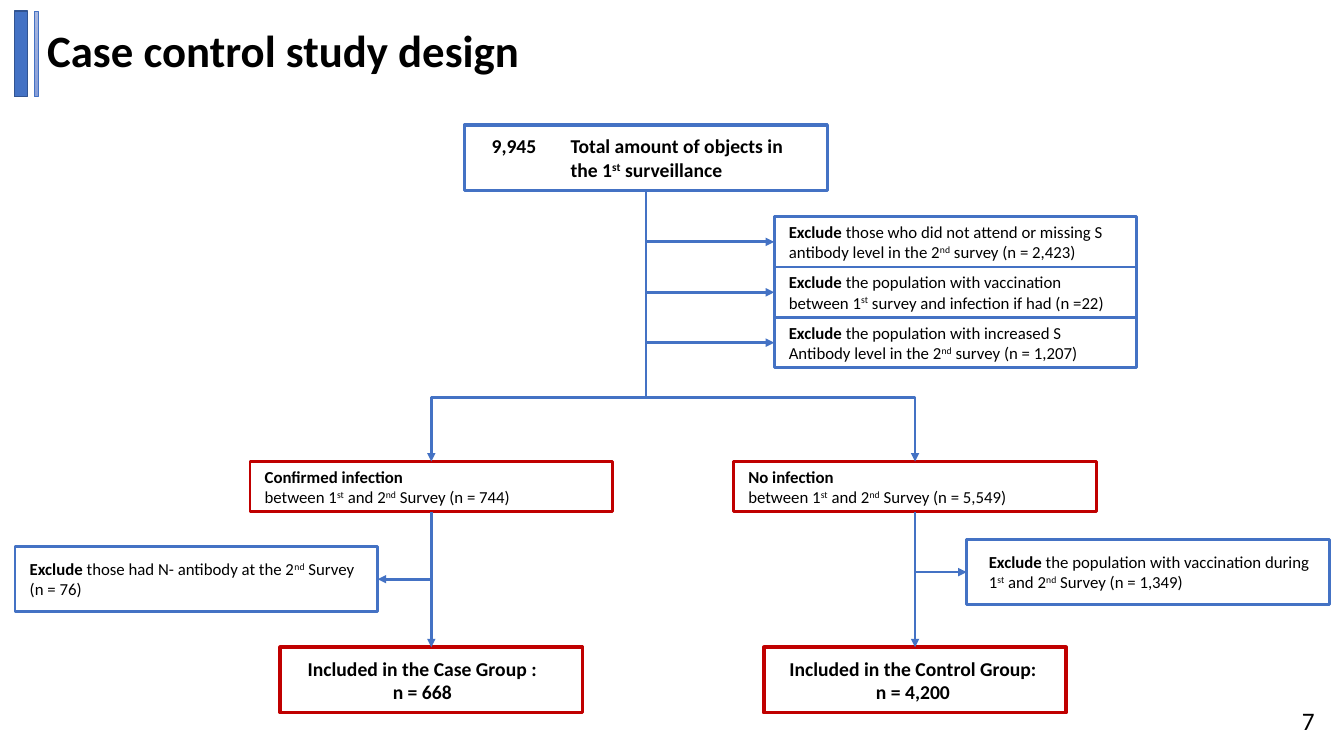
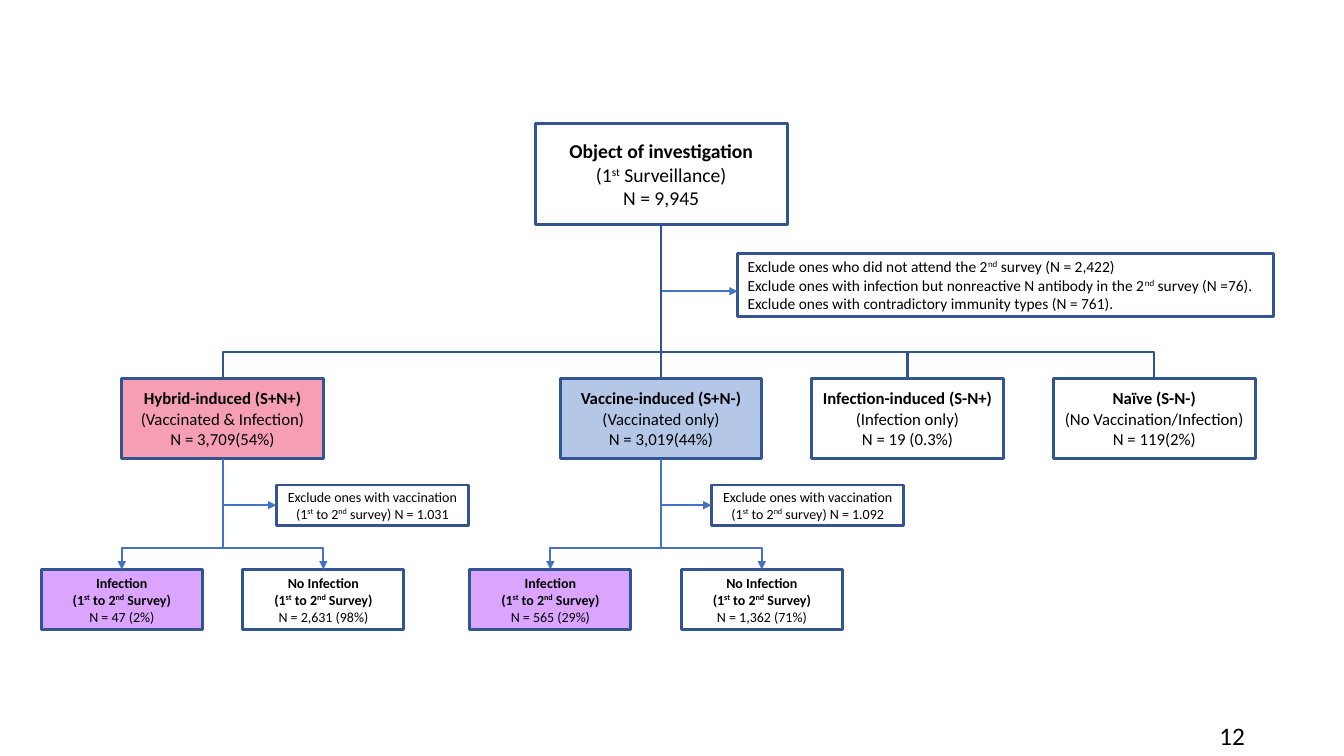
"""Build two flowchart slides on a case control study of infection after vaccination."""

import lxml.etree
import pptx
import pptx.dml.color
import pptx.enum.dml
import pptx.enum.shapes
import pptx.enum.text
import pptx.oxml.ns
import pptx.util

Cm = pptx.util.Cm
Pt = pptx.util.Pt
qn = pptx.oxml.ns.qn
RGB = pptx.dml.color.RGBColor.from_string
ALIGN = pptx.enum.text.PP_ALIGN
ANCHOR = pptx.enum.text.MSO_ANCHOR

FONT = "Calibri"
COLORS = {
    "text": "000000",
    "blue": "4472C4",
    "navy": "325491",
    "red": "C00000",
    "pink": "F69EB4",
    "pale blue": "B4C7E7",
    "purple": "B94DFF",
    "bar top": "A8B7DF",
    "bar bottom": "889ED7",
}


def add_box(slide, text, left, top, width, height, *, size=12, align=ALIGN.CENTER,
            anchor=ANCHOR.MIDDLE, line=None, weight=2, fill=None, opacity=100,
            margins=(0.25, 0.25), wrap=True, spacing=None):
    """Add a box; in its text, * switches bold and ^ switches superscript."""
    frame = Cm(left), Cm(top), Cm(width), Cm(height)
    if line:
        shape = slide.shapes.add_shape(pptx.enum.shapes.MSO_SHAPE.RECTANGLE, *frame)
        shape.shadow.inherit = False
        shape.line.color.rgb = RGB(COLORS[line])
        shape.line.width = Pt(weight)
    else:
        shape = slide.shapes.add_textbox(*frame)
    if fill:
        shape.fill.solid()
        shape.fill.fore_color.rgb = RGB(COLORS[fill])
        if opacity < 100:
            color = shape._element.spPr.find(qn("a:solidFill")).find(qn("a:srgbClr"))
            lxml.etree.SubElement(color, qn("a:alpha")).set("val", str(opacity * 1000))
    else:
        shape.fill.background()
    text_frame = shape.text_frame
    text_frame.word_wrap = wrap
    text_frame.vertical_anchor = anchor
    text_frame.margin_left, text_frame.margin_right = map(Cm, margins)
    bold = False
    for index, content in enumerate(text.split("\n") if text else []):
        paragraph = text_frame.paragraphs[0] if index == 0 else text_frame.add_paragraph()
        paragraph.alignment = align
        if spacing:
            paragraph.line_spacing = spacing
        for bold_index, part in enumerate(content.split("*")):
            bold = bold_index % 2 == 1
            for raised, piece in enumerate(part.split("^")):
                if not piece:
                    continue
                run = paragraph.add_run()
                run.text = piece
                run.font.name = FONT
                run.font.size = Pt(size)
                run.font.bold = bold
                run.font.color.rgb = RGB(COLORS["text"])
                if raised % 2:
                    run.font._element.set("baseline", "30000")
    return shape


def add_line(slide, start, end, *, bend=None, color="blue", weight=2, arrow=True):
    """Add a straight line, or a down-across-down elbow that turns at height bend."""
    kinds = pptx.enum.shapes.MSO_CONNECTOR
    (x1, y1), (x2, y2) = start, end
    elbow = bend is not None and x1 != x2
    if elbow:
        side = 1 if x2 > x1 else -1
        middle_x, middle_y = (x1 + x2) / 2, (y1 + y2) / 2
        run, drop = abs(x2 - x1) / 2, side * (y2 - y1) / 2
        ends = middle_x + drop, middle_y - run, middle_x - drop, middle_y + run
    else:
        ends = x1, y1, x2, y2
    connector = slide.shapes.add_connector(kinds.ELBOW if elbow else kinds.STRAIGHT,
                                           *map(Cm, ends))
    connector.line.color.rgb = RGB(COLORS[color])
    connector.line.width = Pt(weight)
    properties = connector._element.spPr
    if elbow:
        properties.find(qn("a:xfrm")).set("rot", "16200000" if side > 0 else "5400000")
        adjustments = properties.find(qn("a:prstGeom")).find(qn("a:avLst"))
        guide = lxml.etree.SubElement(adjustments, qn("a:gd"))
        guide.set("name", "adj1")
        guide.set("fmla", f"val {round((bend - y1) / (y2 - y1) * 100000)}")
    if arrow:
        outline = properties.find(qn("a:ln"))
        lxml.etree.SubElement(outline, qn("a:tailEnd")).set("type", "triangle")
    lxml.etree.SubElement(properties, qn("a:effectLst"))


presentation = pptx.Presentation()
presentation.slide_width = Cm(33.87)
presentation.slide_height = Cm(19.05)
blank = presentation.slide_layouts[6]
design_slide = presentation.slides.add_slide(blank)
groups_slide = presentation.slides.add_slide(blank)

for slide, number, left, top in ((design_slide, "7", 32.56, 17.65),
                                 (groups_slide, "12", 30.48, 18.03)):
    add_box(slide, number, left, top, 0.48 + 0.35 * len(number), 1.02, size=18,
            align=ALIGN.LEFT, anchor=ANCHOR.TOP, wrap=False)

slide = design_slide
add_box(slide, "*Case control study design*", 0.94, 0.33, 19.48, 2.03, size=32,
        align=ALIGN.LEFT, spacing=0.9)
add_box(slide, "", 0.36, 0.28, 0.33, 2.16, line="navy", weight=1, fill="blue")
thin_bar = add_box(slide, "", 0.86, 0.28, 0.1, 2.16, line="blue", weight=0.5)
thin_bar.fill.gradient()
thin_bar.fill.gradient_angle = 270
for stop, name in zip(thin_bar.fill.gradient_stops, ("bar top", "bar bottom")):
    stop.color.rgb = RGB(COLORS[name])

box_width, large_height, small_height = 9.14, 1.65, 1.27
trunk_x, trunk_top, split_y = 16.28, 4.8, 10.02
add_box(slide, "*Total amount of objects in*\n*the 1^st^ surveillance*",
        trunk_x - box_width / 2, trunk_top - large_height, box_width, large_height,
        size=14, align=ALIGN.LEFT, line="blue", weight=2.5, margins=(2.67, 0.25))
add_box(slide, "*9,945*", 12.07, 3.24, 1.7, 0.86, size=14, align=ALIGN.RIGHT,
        anchor=ANCHOR.TOP)

exclusions = (
    "*Exclude* those who did not attend or missing S antibody level in the 2^nd^ survey (n = 2,423)",
    "*Exclude* the population with vaccination between 1^st^ survey and infection if had (n =22)",
    "*Exclude* the population with increased S Antibody level in the 2^nd^ survey (n = 1,207)",
)
for index, text in enumerate(exclusions):
    left, top = 19.51, 5.46 + index * small_height
    add_box(slide, text, left, top, box_width, small_height, align=ALIGN.LEFT,
            line="blue", margins=(0.37, 0.37))
    middle = top + small_height / 2
    add_line(slide, (trunk_x, middle), (left, middle))

group_top, included_top, included_width = 11.63, 16.31, 7.62
branches = (
    (10.87, "*Confirmed infection*\nbetween 1^st^ and 2^nd^ Survey (n = 744)",
     "*Exclude* those had N- antibody at the 2^nd^ Survey (n = 76)",
     0.38, 13.77, (0.37, 0.37),
     "*Included in the Case Group :*\n*n = 668*", (0.25, 0.7)),
    (23.06, "*No infection*\nbetween 1^st^ and 2^nd^ Survey (n = 5,549)",
     "*Exclude* the population with vaccination during 1^st^ and 2^nd^ Survey (n = 1,349)",
     24.36, 13.59, (0.56, 0.2),
     "*Included in the Control Group:*\n*n = 4,200*", (0.25, 0.35)),
)
for (center, group, exclusion, side_left, side_top, side_margins,
     included, included_margins) in branches:
    add_box(slide, group, center - box_width / 2, group_top, box_width, small_height,
            align=ALIGN.LEFT, line="red", margins=(0.37, 0.37))
    add_box(slide, exclusion, side_left, side_top, box_width, large_height,
            align=ALIGN.LEFT, line="blue", margins=side_margins)
    add_box(slide, included, center - included_width / 2, included_top, included_width,
            large_height, size=14, line="red", weight=2.5, margins=included_margins)
    add_line(slide, (trunk_x, trunk_top), (center, group_top), bend=split_y)
    add_line(slide, (center, group_top + small_height), (center, included_top))
    side_y = side_top + large_height / 2
    side_edge = side_left if side_left > center else side_left + box_width
    add_line(slide, (center, side_y), (side_edge, side_y))

slide = groups_slide
trunk_x, trunk_top, split_y = 16.66, 5.66, 8.86
add_box(slide, "*Object of investigation*\n(1^st^ Surveillance)\nN = 9,945",
        trunk_x - 3.17, 3.12, 6.35, 2.54, size=14, line="navy")
add_box(slide, "Exclude ones who did not attend the 2^nd^ survey (N = 2,422)\n"
        "Exclude ones with infection but nonreactive N antibody in the 2^nd^ survey (N =76).\n"
        "Exclude ones with contradictory immunity types (N = 761).",
        18.59, 6.38, 13.51, 1.6, size=11, align=ALIGN.LEFT, line="navy")
add_line(slide, (trunk_x, 7.34), (18.59, 7.34), weight=1.5)

group_top, group_height = 9.53, 2.03
group_bottom = group_top + group_height
immunity_groups = (
    (5.61, 5.08, "pink", "*Hybrid-induced (S+N+)*\n(Vaccinated & Infection)\nN = 3,709(54%)"),
    (16.66, 5.08, "pale blue", "*Vaccine-induced (S+N-)*\n(Vaccinated only)\nN = 3,019(44%)"),
    (22.87, 4.85, None, "*Infection-induced (S-N+)*\n(Infection only)\nN = 19 (0.3%)"),
    (29.09, 5.1, None, "*Naïve (S-N-)*\n(No Vaccination/Infection)\nN = 119(2%)"),
)
for center, width, fill, text in immunity_groups:
    add_box(slide, text, center - width / 2, group_top, width, group_height,
            line="navy", fill=fill)
    add_line(slide, (trunk_x, trunk_top), (center, group_top), bend=split_y,
             color="navy", weight=1.5, arrow=False)

outcome_top, outcome_width, outcome_height, exclusion_y = 14.35, 4.06, 1.52, 12.73
follow_ups = (
    (5.61, 6.96, "1.031", ((3.07, "Infection", "47 (2%)", "purple"),
                           (8.15, "No Infection", "2,631 (98%)", None))),
    (16.66, 17.93, "1.092", ((13.87, "Infection", "565 (29%)", "purple"),
                             (19.2, "No Infection", "1,362 (71%)", None))),
)
for parent, exclusion_left, excluded, outcomes in follow_ups:
    add_box(slide, f"Exclude ones with vaccination (1^st^ to 2^nd^ survey) N = {excluded}",
            exclusion_left, exclusion_y - 0.51, 4.85, 1.02, size=10, line="navy")
    add_line(slide, (parent, exclusion_y), (exclusion_left, exclusion_y), weight=1.5)
    for center, name, count, fill in outcomes:
        add_box(slide, f"*{name}*\n*(1^st^ to 2^nd^ Survey)*\nN = {count}",
                center - outcome_width / 2, outcome_top, outcome_width, outcome_height,
                size=10, line="navy", fill=fill, opacity=50)
        add_line(slide, (parent, group_bottom), (center, outcome_top), bend=13.82,
                 weight=1.5)

presentation.save("out.pptx")
